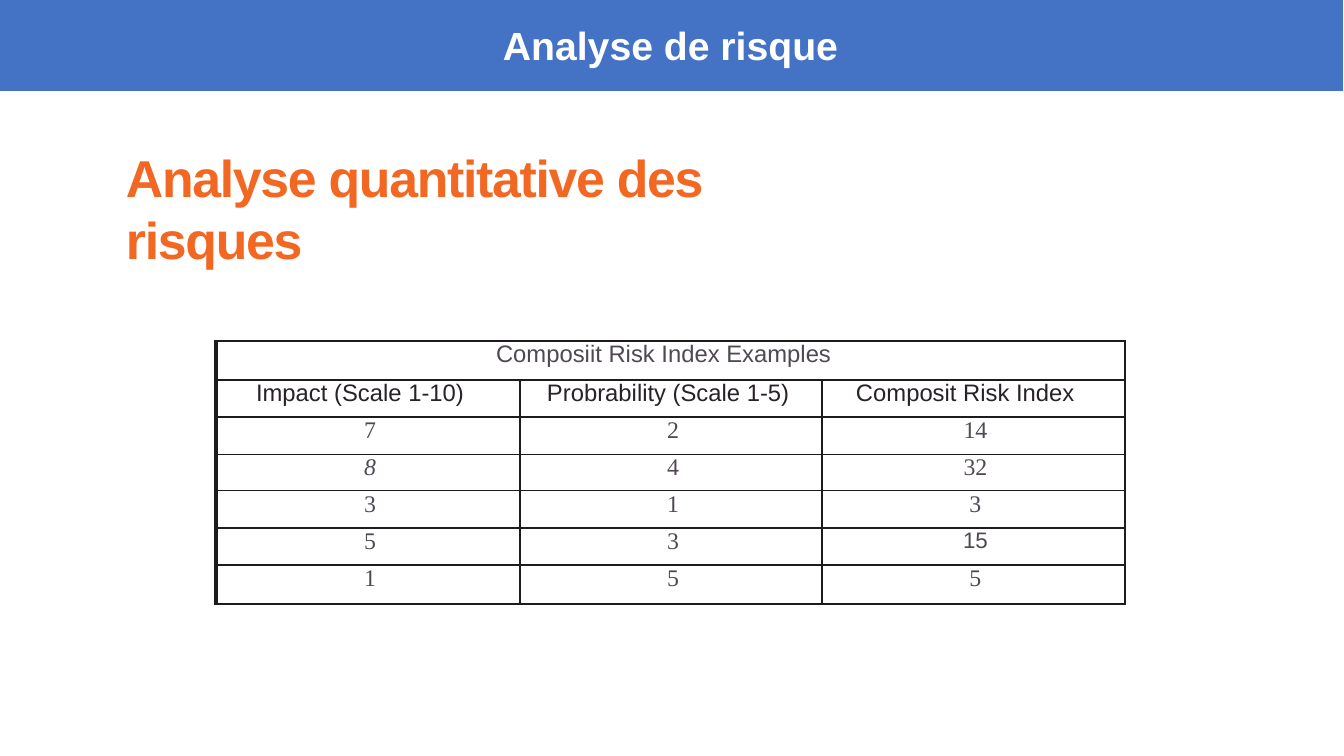
from dataclasses import dataclass
from lxml.etree import SubElement
from pptx import Presentation
from pptx.dml.color import RGBColor
from pptx.enum.shapes import MSO_SHAPE as SHAPE
from pptx.enum.text import MSO_ANCHOR as ANCHOR, MSO_AUTO_SIZE as AUTO, PP_ALIGN as ALIGN
from pptx.oxml.ns import qn
from pptx.util import Emu, Pt


@dataclass(frozen=True)
class Theme:
    blue: str = "4472C4"
    white: str = "FFFFFF"
    orange: str = "F26721"
    grey: str = "504954"
    dark: str = "282128"
    rule: str = "1C1C1C"
    sans: str = "Arial"
    serif: str = "Times New Roman"
    banner_size: float = 28
    heading_size: float = 37
    cell_size: float = 17
    small_size: float = 16
    thick: float = 3
    medium: float = 1.5
    thin: float = 0.75


T = Theme()

BANNER = "Analyse de risque"
HEADING = "Analyse quantitative des risques"
CAPTION = "Composiit Risk Index Examples"
HEADERS = ["Impact (Scale 1-10)", "Probrability (Scale 1-5)", "Composit Risk Index"]
VALUES = [(7, 2, 14), (8, 4, 32), (3, 1, 3), (5, 3, 15), (1, 5, 5)]
ITALIC_VALUE, SANS_VALUE = 8, 15

# Lengths in px
SLIDE_SIZE = (1344, 756)
BANNER_BOX = (-3, -3, 1347, 95)
HEADING_BOX = (126, 146, 697, 126)
TABLE_LEFT, TABLE_TOP = 216, 341
COL_WIDTHS = [304, 302, 303]
OUTER_ROW, INNER_ROW = 39, 37
CAPTION_INDENT, HEADER_INDENTS, VALUE_INDENT = 280, [40, 27, 34], 4

# Line widths in points, from left to right and from top to bottom
COL_RULES = [T.thick] + [T.medium] * len(COL_WIDTHS)
ROW_RULES = [T.medium] * 3 + [T.thin] * 2 + [T.medium] * 3


def px(n):
    return Emu(round(n * 914400 / 100.8))


def box(lengths):
    return [px(n) for n in lengths]


def rgb(colour):
    return RGBColor.from_string(colour)


def write(tf, text, colour, size, font=T.sans, align=ALIGN.LEFT, bold=False, italic=False):
    """Fill the first paragraph with one run and return the paragraph."""
    p = tf.paragraphs[0]
    p.alignment = align
    p.font.name, p.font.size = font, Pt(size)
    p.font.bold, p.font.italic = bold, italic
    p.font.color.rgb = rgb(colour)
    p.add_run().text = text
    return p


def clear_margins(frame):
    frame.margin_left = frame.margin_right = frame.margin_top = frame.margin_bottom = 0


def set_borders(cell, **widths):
    """Draw the sides given as L, R, T or B, each with its width in points."""
    tc_pr = cell._tc.get_or_add_tcPr()
    for side, width in widths.items():
        ln = SubElement(tc_pr, qn(f"a:ln{side}"), w=str(Pt(width)))
        fill = SubElement(ln, qn("a:solidFill"))
        SubElement(fill, qn("a:srgbClr"), val=T.rule)


def write_cell(cell, text, indent, colour=T.grey, size=T.cell_size, **style):
    p = write(cell.text_frame, text, colour, size, **style)
    p._p.get_or_add_pPr().set("marL", str(px(indent)))


def add_banner(s):
    sp = s.shapes.add_shape(SHAPE.RECTANGLE, *box(BANNER_BOX))
    sp.shadow.inherit = False
    sp.fill.solid()
    sp.fill.fore_color.rgb = rgb(T.blue)
    sp.line.color.rgb = rgb(T.white)
    sp.line.width = Pt(T.medium)
    sp.text_frame.vertical_anchor = ANCHOR.MIDDLE
    p = write(sp.text_frame, BANNER, T.white, T.banner_size, align=ALIGN.CENTER, bold=True)
    p.runs[0].font.color.rgb = rgb(T.white)


def add_heading(s):
    tf = s.shapes.add_textbox(*box(HEADING_BOX)).text_frame
    tf.word_wrap = True
    tf.auto_size = AUTO.SHAPE_TO_FIT_TEXT
    clear_margins(tf)
    p = write(tf, HEADING, T.orange, T.heading_size, bold=True)
    p.runs[0]._r.get_or_add_rPr().set("spc", "-90")


def add_grid(s):
    """Add the empty ruled table, with its top row merged."""
    inner_count = len(VALUES)
    heights = [OUTER_ROW] + [INNER_ROW] * inner_count + [OUTER_ROW]
    rows, cols = len(heights), len(COL_WIDTHS)
    table = s.shapes.add_table(rows, cols, px(TABLE_LEFT), px(TABLE_TOP),
                               px(sum(COL_WIDTHS)), px(sum(heights))).table
    table.first_row = table.horz_banding = False
    for col, width in zip(table.columns, COL_WIDTHS):
        col.width = px(width)
    for row, height in zip(table.rows, heights):
        row.height = px(height)
    table.cell(0, 0).merge(table.cell(0, cols - 1))

    for i in range(rows):
        for j in range(cols):
            cell = table.cell(i, j)
            clear_margins(cell)
            sides = {"L": COL_RULES[j], "R": COL_RULES[j + 1]}
            if cell.is_spanned:
                sides = {"R": COL_RULES[-1]} if j == cols - 1 else {}
            set_borders(cell, **sides, T=ROW_RULES[i], B=ROW_RULES[i + 1])
            cell.fill.background()
    return table


def add_risk_table(s):
    table = add_grid(s)
    write_cell(table.cell(0, 0), CAPTION, CAPTION_INDENT)
    for j, (header, indent) in enumerate(zip(HEADERS, HEADER_INDENTS)):
        write_cell(table.cell(1, j), header, indent, T.dark)
    for i, values in enumerate(VALUES, start=2):
        for j, value in enumerate(values):
            sans = value == SANS_VALUE
            write_cell(table.cell(i, j), str(value), VALUE_INDENT,
                       size=T.small_size if sans else T.cell_size,
                       font=T.sans if sans else T.serif,
                       align=ALIGN.CENTER, italic=value == ITALIC_VALUE)


def main():
    prs = Presentation()
    prs.slide_width, prs.slide_height = box(SLIDE_SIZE)
    s = prs.slides.add_slide(prs.slide_layouts[6])
    add_heading(s)
    add_risk_table(s)
    add_banner(s)
    prs.save("out.pptx")


if __name__ == "__main__":
    main()
